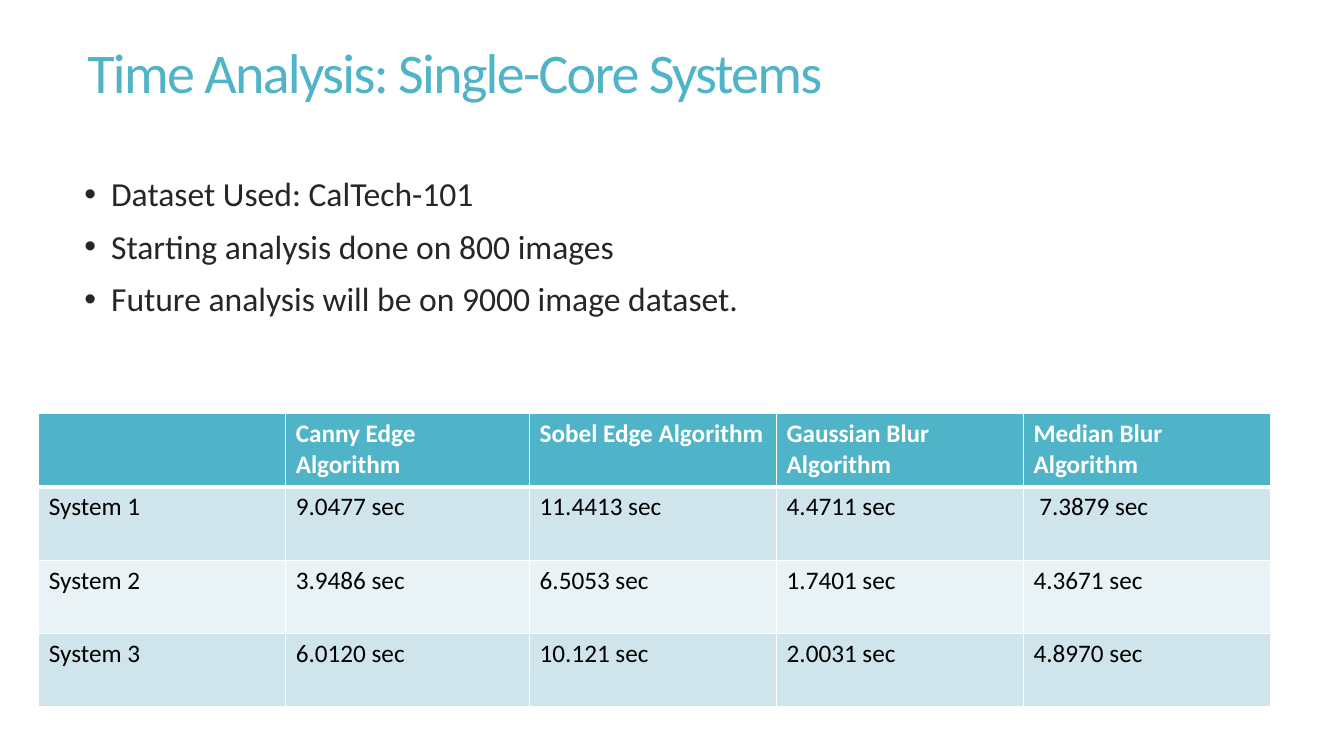
from lxml.etree import SubElement
from pptx import Presentation
from pptx.dml.color import RGBColor
from pptx.enum.text import MSO_ANCHOR
from pptx.oxml.ns import qn
from pptx.util import Pt

TEAL = RGBColor(0x50, 0xB4, 0xC8)
BAND_DARK = RGBColor(0xD0, 0xE5, 0xEB)
BAND_LIGHT = RGBColor(0xE9, 0xF2, 0xF5)
WHITE = RGBColor(0xFF, 0xFF, 0xFF)
BLACK = RGBColor(0, 0, 0)
DARK_GRAY = RGBColor(0x26, 0x26, 0x26)

BULLETS = [
    "Dataset Used: CalTech-101",
    "Starting analysis done on 800 images",
    "Future analysis will be on 9000 image dataset.",
]
TIMES = [
    ["", "Canny Edge Algorithm", "Sobel Edge Algorithm",
     "Gaussian Blur Algorithm", "Median Blur Algorithm"],
    ["System 1", "9.0477 sec", "11.4413 sec", "4.4711 sec", " 7.3879 sec"],
    ["System 2", "3.9486 sec", "6.5053 sec", "1.7401 sec", "4.3671 sec"],
    ["System 3", "6.0120 sec", "10.121 sec", "2.0031 sec", "4.8970 sec"],
]
COLUMN_WIDTHS = [176.4, 174.2, 176.4, 176.4, 176.4]
ROW_HEIGHT = 52.4


def add_run(paragraph, text, size, color, bold=False):
    run = paragraph.add_run()
    run.text = text
    run.font.name = "Calibri"
    run.font.size = Pt(size)
    run.font.bold = bold
    run.font.color.rgb = color
    return run


def add_border(cell, side, width):
    """Draw a white line on one side (L, R, T or B); call before filling the cell."""
    properties = cell._tc.get_or_add_tcPr()
    line = SubElement(properties, qn(f"a:ln{side}"), w=str(Pt(width)))
    fill = SubElement(line, qn("a:solidFill"))
    SubElement(fill, qn("a:srgbClr"), val=str(WHITE))


presentation = Presentation()
presentation.slide_width = Pt(960)
presentation.slide_height = Pt(540)
slide = presentation.slides.add_slide(presentation.slide_layouts[6])

# Bullets
bullet_frame = slide.shapes.add_textbox(Pt(53.3), Pt(124.6), Pt(846.7), Pt(127.4)).text_frame
bullet_frame.word_wrap = True
for index, text in enumerate(BULLETS):
    paragraph = bullet_frame.add_paragraph() if index else bullet_frame.paragraphs[0]
    paragraph.line_spacing = 0.85
    if index:
        paragraph.space_before = Pt(13)
    properties = paragraph._p.get_or_add_pPr()
    properties.set("marL", str(Pt(19)))
    properties.set("indent", str(Pt(-19)))
    SubElement(properties, qn("a:buFont"), typeface="Arial")
    SubElement(properties, qn("a:buChar"), char="•")
    add_run(paragraph, text, 24, DARK_GRAY)

# Timing table
table = slide.shapes.add_table(
    len(TIMES), len(COLUMN_WIDTHS), Pt(27.7), Pt(295.3),
    Pt(sum(COLUMN_WIDTHS)), Pt(ROW_HEIGHT * len(TIMES))).table
for column, width in zip(table.columns, COLUMN_WIDTHS):
    column.width = Pt(width)
for row_index, values in enumerate(TIMES):
    table.rows[row_index].height = Pt(ROW_HEIGHT)
    is_header = row_index == 0
    band = TEAL if is_header else BAND_DARK if row_index % 2 else BAND_LIGHT
    for column_index, value in enumerate(values):
        cell = table.cell(row_index, column_index)
        add_border(cell, "L", 1)
        add_border(cell, "R", 1)
        add_border(cell, "T", 3 if row_index == 1 else 1)
        add_border(cell, "B", 3 if is_header else 1)
        cell.fill.solid()
        cell.fill.fore_color.rgb = band
        if value:
            add_run(cell.text_frame.paragraphs[0], value, 18,
                    WHITE if is_header else BLACK, is_header)

# Title
title_frame = slide.shapes.add_textbox(Pt(55.4), Pt(12.2), Pt(846), Pt(85)).text_frame
title_frame.word_wrap = True
title_frame.vertical_anchor = MSO_ANCHOR.MIDDLE
title_frame.paragraphs[0].line_spacing = 0.85
title_run = add_run(title_frame.paragraphs[0], "Time Analysis: Single-Core Systems", 40, TEAL)
title_run.font._element.set("spc", "-120")

presentation.save("out.pptx")
